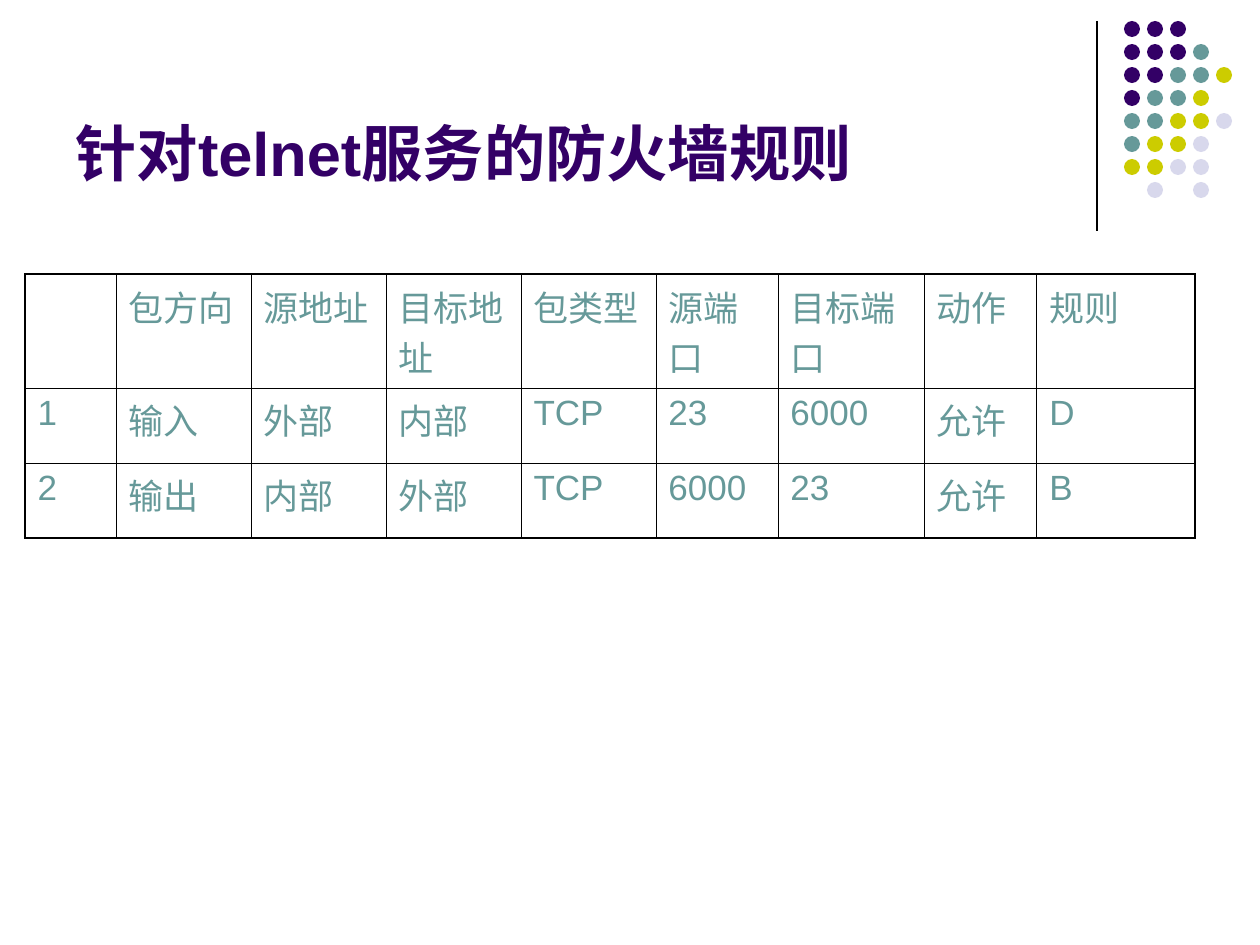
import pptx
import pptx.dml.color
import pptx.enum.shapes
import pptx.enum.text
import pptx.oxml
import pptx.oxml.ns
import pptx.util
from dataclasses import dataclass


@dataclass(frozen=True)
class Theme:
    font: str = "Arial"
    ink: str = "000000"
    purple: str = "330066"
    teal: str = "669999"
    lime: str = "CCCC00"
    pale: str = "D8D8EC"
    title: int = 35
    body: int = 20
    rule: float = 0.75
    thin: float = 0.45
    thick: float = 1.08


def px(n):
    return pptx.util.Emu(round(n * 914400 / 126))


def rgb(code):
    return pptx.dml.color.RGBColor.from_string(code)


class Deck:
    def __init__(self, theme):
        self.theme = theme
        self.file = pptx.Presentation()
        self.file.slide_width, self.file.slide_height = px(1260), px(945)
        self.slide = self.file.slides.add_slide(self.file.slide_layouts[6])

    def run(self, para, text, size, color, bold=False):
        run = para.add_run()
        run.text = text
        run.font.name = self.theme.font
        run.font.size = pptx.util.Pt(size)
        run.font.bold = bold
        run.font.color.rgb = rgb(color)

    def title(self, text, x, y, w, h):
        box = self.slide.shapes.add_textbox(px(x), px(y), px(w), px(h))
        frame = box.text_frame
        frame.word_wrap = True
        frame.vertical_anchor = pptx.enum.text.MSO_ANCHOR.BOTTOM
        self.run(frame.paragraphs[0], text, self.theme.title, self.theme.purple, True)

    def line(self, x1, y1, x2, y2):
        kind = pptx.enum.shapes.MSO_CONNECTOR.STRAIGHT
        line = self.slide.shapes.add_connector(kind, px(x1), px(y1), px(x2), px(y2))
        line.line.color.rgb = rgb(self.theme.ink)
        line.line.width = pptx.util.Pt(self.theme.rule)
        props = line._element.spPr
        props.append(pptx.oxml.parse_xml(
            f"<a:effectLst {pptx.oxml.ns.nsdecls('a')}/>"))

    def dots(self, rows, x, y, step, size):
        colors = {"P": self.theme.purple, "T": self.theme.teal,
                  "L": self.theme.lime, "W": self.theme.pale}
        group = self.slide.shapes.add_group_shape()
        oval = pptx.enum.shapes.MSO_SHAPE.OVAL
        for r, row in enumerate(rows):
            for c, key in enumerate(row):
                if key not in colors:
                    continue
                dot = group.shapes.add_shape(
                    oval, px(x + c * step), px(y + r * step), px(size), px(size))
                dot.shadow.inherit = False
                dot.fill.solid()
                dot.fill.fore_color.rgb = rgb(colors[key])
                dot.line.fill.background()

    def edge(self, cell, sides):
        # Borders come before the fill in the cell properties
        props = cell._tc.get_or_add_tcPr()
        for i, (side, outer) in enumerate(sides):
            width = pptx.util.Pt(self.theme.thick if outer else self.theme.thin)
            props.insert(i, pptx.oxml.parse_xml(
                f'<a:ln{side} {pptx.oxml.ns.nsdecls("a")} w="{width}"><a:solidFill>'
                f'<a:srgbClr val="{self.theme.ink}"/></a:solidFill></a:ln{side}>'))

    def table(self, rows, x, y, wide, high):
        grid = self.slide.shapes.add_table(
            len(high), len(wide), px(x), px(y), px(sum(wide)), px(sum(high))).table
        grid.first_row = grid.horz_banding = False
        for col, w in zip(grid.columns, wide):
            col.width = px(w)
        for row, h in zip(grid.rows, high):
            row.height = px(h)
        for r, row in enumerate(rows):
            for c, text in enumerate(row):
                cell = grid.cell(r, c)
                cell.fill.background()
                self.edge(cell, [("L", c == 0), ("R", c == len(wide) - 1),
                                 ("T", r == 0), ("B", r == len(high) - 1)])
                if text:
                    para = cell.text_frame.paragraphs[0]
                    self.run(para, text, self.theme.body, self.theme.teal)


def main():
    deck = Deck(Theme())

    # Corner decoration
    deck.line(1097, 21, 1097, 231)
    deck.dots(["PPP", "PPPT", "PPTTL", "PTTL", "TTLLW", "TLLW", "LLWW", " W W"],
              1124, 21, 23, 16)

    # Title
    deck.title("针对telnet服务的防火墙规则", 63, 16, 1040, 179)

    # Firewall rules; the header row holds two lines
    rules = [
        ["", "包方向", "源地址", "目标地址", "包类型", "源端口", "目标端口", "动作", "规则"],
        ["1", "输入", "外部", "内部", "TCP", "23", "6000", "允许", "D"],
        ["2", "输出", "内部", "外部", "TCP", "6000", "23", "允许", "B"],
    ]
    deck.table(rules, 25, 274, [91, 135, 135, 135, 135, 122, 146, 113, 158], [114, 75, 75])

    deck.file.save("out.pptx")


if __name__ == "__main__":
    main()
